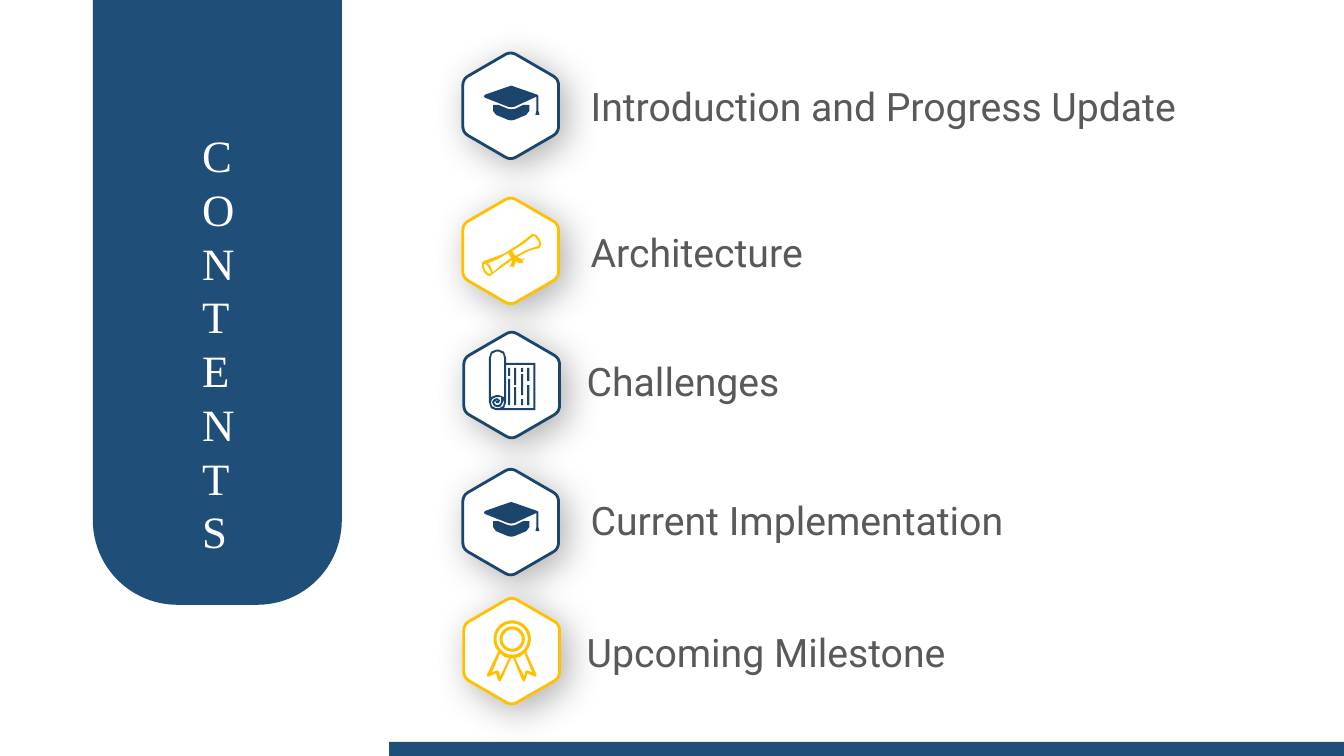
from math import cos, dist, radians, sin

from lxml import etree
from pptx import Presentation
from pptx.dml.color import RGBColor
from pptx.enum.shapes import MSO_SHAPE as SHAPE
from pptx.enum.text import MSO_AUTO_SIZE as AUTO, PP_ALIGN as ALIGN
from pptx.oxml.ns import nsdecls, qn
from pptx.util import Inches, Pt

SLIDE_W, SLIDE_H = 13.33, 7.5
PANEL, NAVY, GOLD, WHITE = "1F4E79", "1B456C", "FFC000", "FFFFFF"
HEX_W, HEX_H = 0.95, 1.06
UNITS = 100
STEPS = 6


def rgb(value):
    """Turn a hex string into a colour."""
    return RGBColor.from_string(value)


def paint(sp, fill, line=None, weight=2):
    """Set the fill and outline of a shape and remove its theme shadow."""
    sp.shadow.inherit = False
    sp.fill.solid()
    sp.fill.fore_color.rgb = rgb(fill)
    if line:
        sp.line.color.rgb = rgb(line)
        sp.line.width = Pt(weight)
    else:
        sp.line.fill.background()


def arc(cx, cy, radius, start=0, end=360):
    """Return points along a circular arc."""
    return [(cx + radius * cos(radians(a)), cy + radius * sin(radians(a)))
            for a in range(start, end + 1, 6)]


def bar(x, top, bottom, width=2):
    """Return the corners of an upright bar."""
    return [(x, top), (x + width, top), (x + width, bottom), (x, bottom)]


def rounded(corners, cut):
    """Round each corner of a polygon with a quadratic curve."""
    points = []
    for i, c in enumerate(corners):
        before, after = corners[i - 1], corners[(i + 1) % len(corners)]
        a, b = ([c[k] + (n[k] - c[k]) * cut / dist(c, n) for k in (0, 1)]
                for n in (before, after))
        for step in range(STEPS + 1):
            t = step / STEPS
            points.append(tuple((1 - t) ** 2 * a[k] + 2 * t * (1 - t) * c[k] + t * t * b[k]
                                for k in (0, 1)))
    return points


HEXAGON = [rounded([(47.5, -1), (95, 26.5), (95, 79.5),
                    (47.5, 107), (0, 79.5), (0, 26.5)], 6.5)]

CAP = [
    [(30, 52), (35, 52), (45, 56), (48, 56.5), (52, 56), (60, 52), (66, 52), (66, 58),
     (63, 62), (51, 67), (48, 67.5), (45, 67), (33, 62), (30, 58)],
    [(48, 33), (51, 34), (74, 42), (75, 43), (75, 58), (76, 62), (72, 62), (73, 58),
     (73, 44), (51, 54), (48, 54.5), (45, 54), (22, 45), (21, 43.5), (22, 42), (45, 34)],
]

DIPLOMA = [
    [(76, 41), (73, 37), (69, 36), (56, 46), (40, 56), (21, 63), (19, 65), (19, 69),
     (21, 74), (24, 77), (27, 78), (28, 77), (36, 71), (49, 62), (48, 66), (46, 69),
     (49, 68), (50, 70), (53, 63), (56, 65), (60, 65), (59, 62), (62, 60), (58, 61),
     (54, 59), (65, 53), (76, 50), (78, 46)],
    [(27, 76), (25, 75), (22, 72), (21, 68), (21, 66), (22, 66), (24, 67), (26, 70), (28, 74)],
    [(28, 69), (25, 65), (35, 61), (45, 55), (48, 60), (38, 67), (30, 74)],
    [(75, 48), (63, 52), (52, 58), (49, 53), (60, 46), (70, 38), (72, 39), (74, 42), (76, 45)],
]

SCROLL = [
    [(32, 18), (35, 18), (40, 20), (42, 26), (42, 31), (71, 31), (71, 78), (32, 78),
     (27, 76), (25, 70), (25, 26), (27, 20)],
    [(42, 33), (42, 70), (40, 76), (69, 76), (69, 33)],
    [(32, 20), (35, 20), (39, 22), (40, 26), (40, 65), (35, 63), (32, 63), (27, 65),
     (27, 26), (28, 22)],
    [(32, 65), (28, 67), (27, 70), (28, 74), (32, 76), (35, 76), (39, 74), (40, 70),
     (39, 67), (39, 70), (37, 74), (34, 75), (30, 74), (28, 70), (30, 67), (33, 66),
     (36, 68), (35, 71), (32, 71), (32, 69), (33, 69), (34, 68), (33, 68), (30, 70),
     (31, 72), (33, 73), (36, 72), (37, 70), (37, 65), (35, 65)],
] + [bar(*b) for b in [(44, 36, 44), (44, 47, 73), (50, 36, 53), (50, 55, 73), (57, 36, 40),
                       (57, 42, 63), (57, 67, 73), (63, 36, 49), (63, 53, 73)]]

TAIL = [(60, 55), (56, 58.5), (51, 60), (60, 78), (61, 73), (63, 72), (68, 74)]
RIBBON = [
    arc(48, 41, 18.5, 138, 402)
    + [(72, 76), (72, 78), (70, 78), (63, 75), (61, 82), (60, 83), (58, 82), (49, 60),
       (47, 60), (37, 82), (36, 83), (34, 82), (32, 75), (25, 78), (23, 78), (23, 76)],
    TAIL, [(96 - x, y) for x, y in TAIL],
] + [arc(48, 41, radius) for radius in (15.5, 12.5, 9.5)]

ROWS = [
    ("Introduction and Progress Update", CAP, NAVY, 4.59, 0.52, 5.76, 0.77, 6.88),
    ("Architecture", DIPLOMA, GOLD, 4.59, 1.96, 5.76, 2.22, 5.65),
    ("Challenges", SCROLL, NAVY, 4.6, 3.29, 5.72, 3.5, 3.44),
    ("Current Implementation", CAP, NAVY, 4.59, 4.65, 5.76, 4.87, 5.65),
    ("Upcoming Milestone", RIBBON, GOLD, 4.6, 5.93, 5.72, 6.18, 5.02),
]


def outline(slide, contours, x, y):
    """Build one freeform from contours given in hundredths of an inch."""
    scaled = [[(px * UNITS, py * UNITS) for px, py in c] for c in contours]
    builder = slide.shapes.build_freeform(*scaled[0][0], scale=Inches(1) / UNITS ** 2)
    for i, points in enumerate(scaled):
        if i:
            builder.move_to(*points[0])
        builder.add_line_segments(points[1:], close=True)
    return builder.convert_to_shape(Inches(x), Inches(y))


def soft_shadow(sp):
    """Give a shape a blurred grey shadow to the lower right."""
    effects = sp._element.spPr.find(qn("a:effectLst"))
    effects.append(etree.fromstring(
        f'<a:outerShdw {nsdecls("a")} blurRad="{Pt(25)}" dist="{Pt(7)}" dir="2700000" '
        'algn="tl" rotWithShape="0"><a:srgbClr val="808080"><a:alpha val="60000"/>'
        '</a:srgbClr></a:outerShdw>'))


def text_box(slide, box, text, font, size):
    """Add a wrapping text box and return its frame, paragraph and run."""
    tf = slide.shapes.add_textbox(*map(Inches, box)).text_frame
    tf.word_wrap = True
    p = tf.paragraphs[0]
    r = p.add_run()
    r.text = text
    r.font.name, r.font.size = font, Pt(size)
    return tf, p, r


def title_panel(slide, x, y, w, h):
    """Draw the hanging panel with its upright title."""
    sp = slide.shapes.add_shape(SHAPE.ROUND_2_SAME_RECTANGLE, *map(Inches, (x, y, w, h)))
    sp.adjustments[0], sp.adjustments[1] = 0.34, 0
    sp.rotation = 180
    paint(sp, PANEL)
    box = (x + 0.4 * w, y + 0.203 * h, 0.46, 0.7 * h)
    tf, p, r = text_box(slide, box, "CONTENTS", "Times New Roman", 32)
    p.alignment = ALIGN.JUSTIFY
    r.font.color.rgb = rgb(WHITE)


def agenda_row(slide, label, icon, color, x, y, label_x, label_y, label_w):
    """Draw a hexagon badge with its icon and label."""
    badge = outline(slide, HEXAGON, x, y)
    paint(badge, WHITE, color)
    soft_shadow(badge)
    paint(outline(slide, icon, x, y), color)
    tf, p, r = text_box(slide, (label_x, label_y, label_w, 0.57), label, "Roboto", 28)
    tf.auto_size = AUTO.SHAPE_TO_FIT_TEXT
    r.font._element.insert(0, etree.fromstring(
        f'<a:gradFill {nsdecls("a")}><a:gsLst><a:gs pos="0"><a:srgbClr val="595959"/></a:gs>'
        '<a:gs pos="100000"><a:srgbClr val="3B3838"/></a:gs></a:gsLst><a:path path="circle">'
        '<a:fillToRect r="100000" b="100000"/></a:path></a:gradFill>'))


def footer_bar(slide, x, h):
    """Draw the strip along the bottom edge."""
    sp = slide.shapes.add_shape(SHAPE.RECTANGLE, Inches(x), Inches(SLIDE_H - h),
                                Inches(SLIDE_W - x), Inches(h))
    paint(sp, PANEL)


def main():
    """Build the contents slide."""
    prs = Presentation()
    prs.slide_width, prs.slide_height = Inches(SLIDE_W), Inches(SLIDE_H)
    slide = prs.slides.add_slide(prs.slide_layouts[6])
    title_panel(slide, 0.92, 0, 2.47, 6)
    for row in ROWS:
        agenda_row(slide, *row)
    footer_bar(slide, 3.86, 0.14)
    prs.save("out.pptx")


if __name__ == "__main__":
    main()
